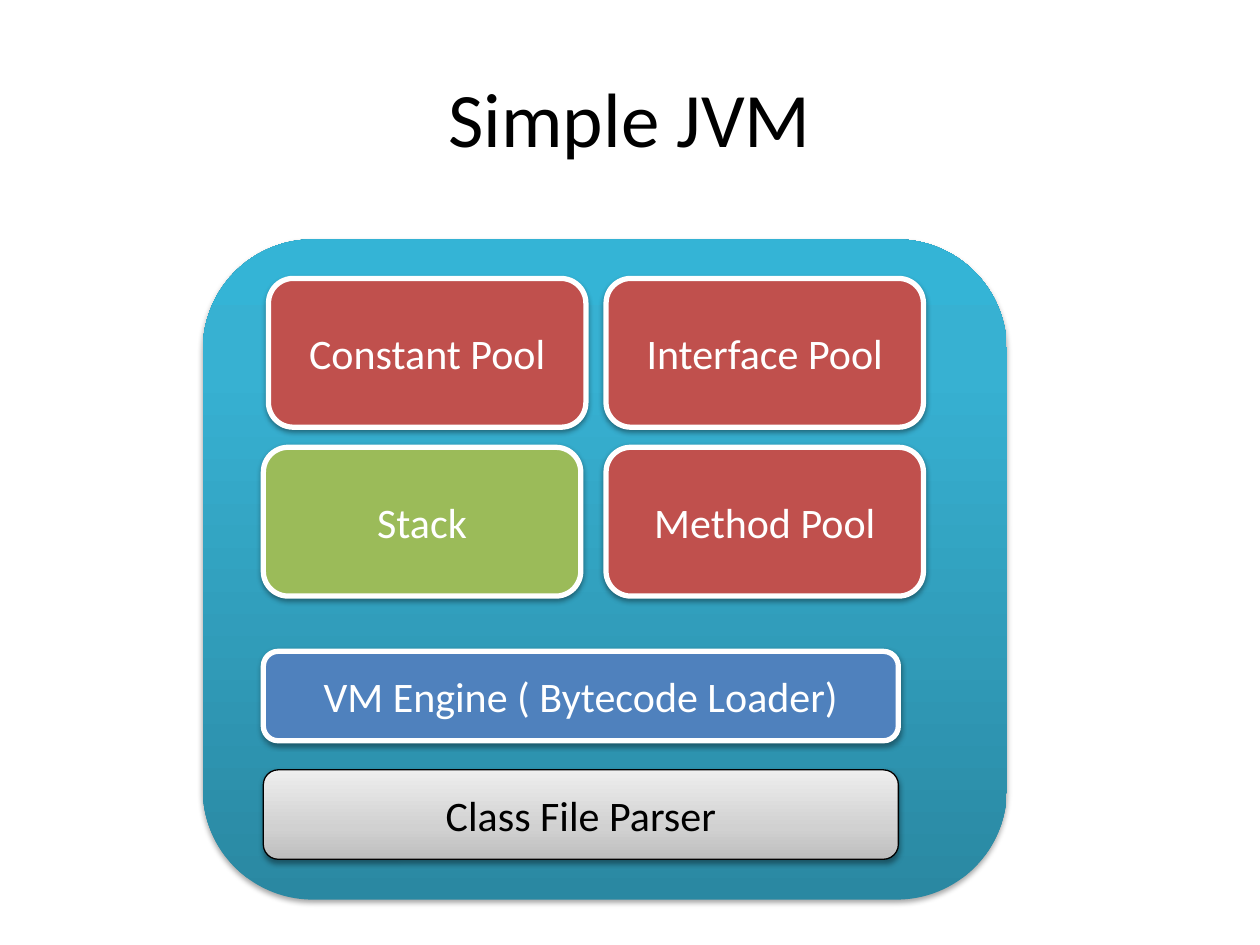
from copy import deepcopy
from lxml.etree import SubElement
from pptx import Presentation
from pptx.dml.color import RGBColor
from pptx.enum.shapes import MSO_SHAPE
from pptx.enum.text import MSO_ANCHOR, PP_ALIGN
from pptx.oxml.ns import qn
from pptx.util import Pt

TITLE = "Simple JVM"
RED, GREEN, BLUE = "C0504D", "9BBB59", "4F81BD"
TEAL = [(0, "2A88A2"), (0.8, "37B1D2"), (1, "34B4D6")]
GRAY = [(0, "BDBDBD"), (0.35, "D1D1D1"), (1, "EEEEEE")]
LEFT, RIGHT = 150.5, 346.3
TOP, LOW = 159.1, 255.6
POOL, BAR = (181.4, 85), (362.9, 51.1)
FRAME = (115.9, 136.8, 459.4, 377.3)
PARSER = ("Class File Parser", LEFT, 439.9, BAR, GRAY)
PARTS = [
    ("Constant Pool", LEFT + 2.9, TOP, POOL, RED),
    ("Stack", LEFT, LOW, POOL, GREEN),
    ("Method Pool", RIGHT, LOW, POOL, RED),
    ("Interface Pool", RIGHT, TOP, POOL, RED),
    ("VM Engine ( Bytecode Loader)", LEFT, 372.2, BAR, BLUE),
]


def color(code):
    return RGBColor.from_string(code)


def write(shape, text, size=24, ink="FFFFFF"):
    frame = shape.text_frame
    frame.word_wrap = True
    frame.vertical_anchor = MSO_ANCHOR.MIDDLE
    para = frame.paragraphs[0]
    para.alignment = PP_ALIGN.CENTER
    run = para.add_run()
    run.text = text
    run.font.name = "Calibri"
    run.font.size = Pt(size)
    run.font.color.rgb = color(ink)


def blend(shape, stops):
    shape.fill.gradient()
    shape.fill.gradient_angle = 90
    last = list(shape._element.spPr.iter(qn("a:gs")))[-1]
    last.addnext(deepcopy(last))
    for stop, (place, code) in zip(shape.fill.gradient_stops, stops):
        stop.position = place
        stop.color.rgb = color(code)


def shade(shape, drop, alpha):
    shape.shadow.inherit = False
    effect = shape._element.spPr.find(qn("a:effectLst"))
    outer = SubElement(effect, qn("a:outerShdw"), blurRad=str(Pt(3.1)),
                       dist=str(Pt(drop)), dir="5400000", rotWithShape="0")
    tint = SubElement(outer, qn("a:srgbClr"), val="000000")
    SubElement(tint, qn("a:alpha"), val=str(alpha * 1000))


def block(slide, box, fill, line=None, width=3, drop=1.6, alpha=38):
    shape = slide.shapes.add_shape(MSO_SHAPE.ROUNDED_RECTANGLE, *map(Pt, box))
    if isinstance(fill, list):
        blend(shape, fill)
    else:
        shape.fill.solid()
        shape.fill.fore_color.rgb = color(fill)
    if line:
        shape.line.color.rgb = color(line)
        shape.line.width = Pt(width)
    else:
        shape.line.fill.background()
    shade(shape, drop, alpha)
    return shape


def label(slide, part, ink="FFFFFF", **style):
    text, left, top, size, fill = part
    write(block(slide, (left, top, *size), fill, **style), text, ink=ink)


def main():
    """Build the slide of the virtual machine's parts."""
    deck = Presentation()
    deck.slide_width, deck.slide_height = Pt(720), Pt(540)
    slide = deck.slides.add_slide(deck.slide_layouts[5])
    title = slide.shapes.title
    title.left, title.top, title.width, title.height = map(Pt, (36, 21.6, 648, 90))
    write(title, TITLE, size=44, ink="000000")
    block(slide, FRAME, TEAL, drop=1.8, alpha=35)
    label(slide, PARSER, ink="000000", line="000000", width=0.75)
    for part in PARTS:
        label(slide, part, line="FFFFFF")
    deck.save("out.pptx")


if __name__ == "__main__":
    main()
